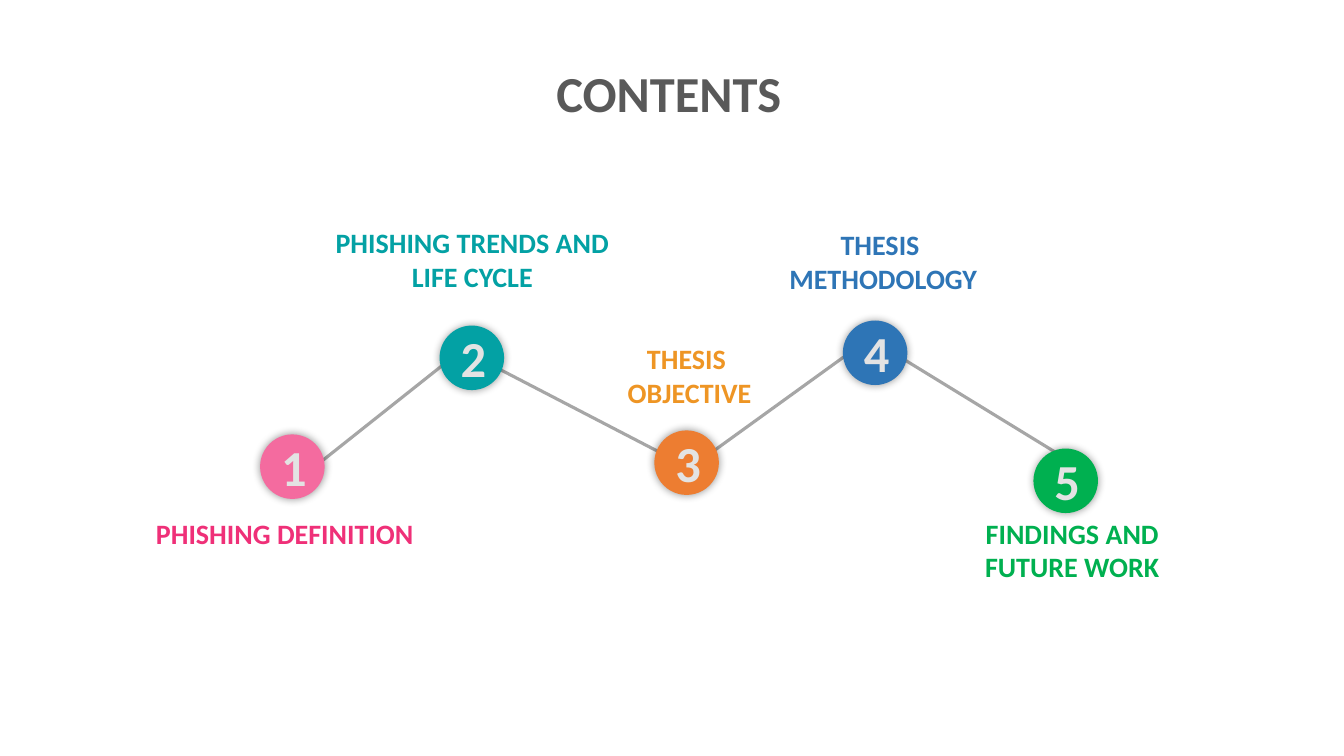
from dataclasses import dataclass

from lxml.etree import SubElement
from pptx import Presentation
from pptx.dml.color import RGBColor
from pptx.enum.shapes import MSO_CONNECTOR, MSO_SHAPE
from pptx.enum.text import MSO_AUTO_SIZE, PP_ALIGN
from pptx.oxml import parse_xml
from pptx.oxml.ns import nsdecls, qn
from pptx.util import Inches, Pt


@dataclass(frozen=True)
class Theme:
    font: str = "Calibri"
    title: str = "595959"
    number: str = "E3E3E3"
    line: str = "A6A6A6"
    pink: str = "F46B9F"
    magenta: str = "EF3078"
    teal: str = "03A1A4"
    orange: str = "ED7D31"
    amber: str = "EE9524"
    blue: str = "2E75B6"
    green: str = "00B050"
    big: int = 36
    label: int = 20
    line_width: float = 2.25


T = Theme()
DOT = 0.64

# dot left, dot top, dot colour, label box, label colour, label paragraphs
STEPS = [
    (2.58, 4.31, T.pink, (1.42, 5.07, 2.81, 0.77), T.magenta, ["PHISHING DEFINITION"]),
    (4.36, 3.23, T.teal, (3, 2.19, 3.37, 0.77), T.teal, ["PHISHING TRENDS AND LIFE CYCLE"]),
    (6.49, 4.27, T.orange, (5.57, 3.34, 2.54, 0.77), T.amber, ["THESIS ", "OBJECTIVE"]),
    (8.36, 3.18, T.blue, (7.12, 2.21, 3.28, 0.77), T.blue, ["THESIS ", "METHODOLOGY"]),
    (10.25, 4.45, T.green, (9.28, 5.07, 2.71, 0.77), T.green, ["FINDINGS AND FUTURE WORK"]),
]
LINKS = [
    (6.89, 4.61, 8.62, 3.36),
    (10.49, 4.5, 8.63, 3.36),
    (6.78, 4.61, 4.91, 3.64),
    (3.11, 4.64, 4.47, 3.56),
]


def soft_shadow(blur, distance, alpha):
    """Effect list with a black outer shadow; blur and distance in points."""
    return parse_xml(
        f'<a:effectLst {nsdecls("a")}><a:outerShdw blurRad="{Pt(blur)}" dist="{Pt(distance)}" '
        f'dir="2700000" algn="ctr" rotWithShape="0"><a:srgbClr val="000000">'
        f'<a:alpha val="{alpha * 1000}"/></a:srgbClr></a:outerShdw></a:effectLst>')


def add_link(s, ends):
    link = s.shapes.add_connector(MSO_CONNECTOR.STRAIGHT, *map(Inches, ends))
    link.line.color.rgb = RGBColor.from_string(T.line)
    link.line.width = Pt(T.line_width)
    SubElement(link._element.spPr, qn("a:effectLst"))


def add_text(s, box, lines, size, color, align=PP_ALIGN.CENTER, wrap=True, shadow=False):
    tf = s.shapes.add_textbox(*map(Inches, box)).text_frame
    tf.word_wrap = wrap
    tf.auto_size = MSO_AUTO_SIZE.SHAPE_TO_FIT_TEXT
    for i, line in enumerate(lines):
        p = tf.add_paragraph() if i else tf.paragraphs[0]
        p.alignment = align
        r = p.add_run()
        r.text = line
        r.font.name = T.font
        r.font.size = Pt(size)
        r.font.bold = True
        r.font.color.rgb = RGBColor.from_string(color)
        if shadow:
            r._r.rPr.find(qn("a:solidFill")).addnext(soft_shadow(4, 2, 45))


def add_dot(s, number, left, top, color):
    dot = s.shapes.add_shape(MSO_SHAPE.OVAL, *map(Inches, (left, top, DOT, DOT)))
    dot.fill.solid()
    dot.fill.fore_color.rgb = RGBColor.from_string(color)
    dot.line.fill.background()
    dot._element.spPr.append(soft_shadow(6, 0, 40))
    add_text(s, (left + 0.11, top - 0.03, 0.42, 0.71), [str(number)],
             T.big, T.number, shadow=True)


def main():
    prs = Presentation()
    prs.slide_width, prs.slide_height = Inches(13.33), Inches(7.5)
    s = prs.slides.add_slide(prs.slide_layouts[6])
    for ends in LINKS:
        add_link(s, ends)
    for number, (left, top, dot_color, box, label_color, lines) in enumerate(STEPS, 1):
        add_dot(s, number, left, top, dot_color)
        add_text(s, box, lines, T.label, label_color)
    add_text(s, (5.42, 0.57, 2.53, 0.71), ["CONTENTS"], T.big, T.title,
             align=PP_ALIGN.LEFT, wrap=False)
    prs.save("out.pptx")


if __name__ == "__main__":
    main()
